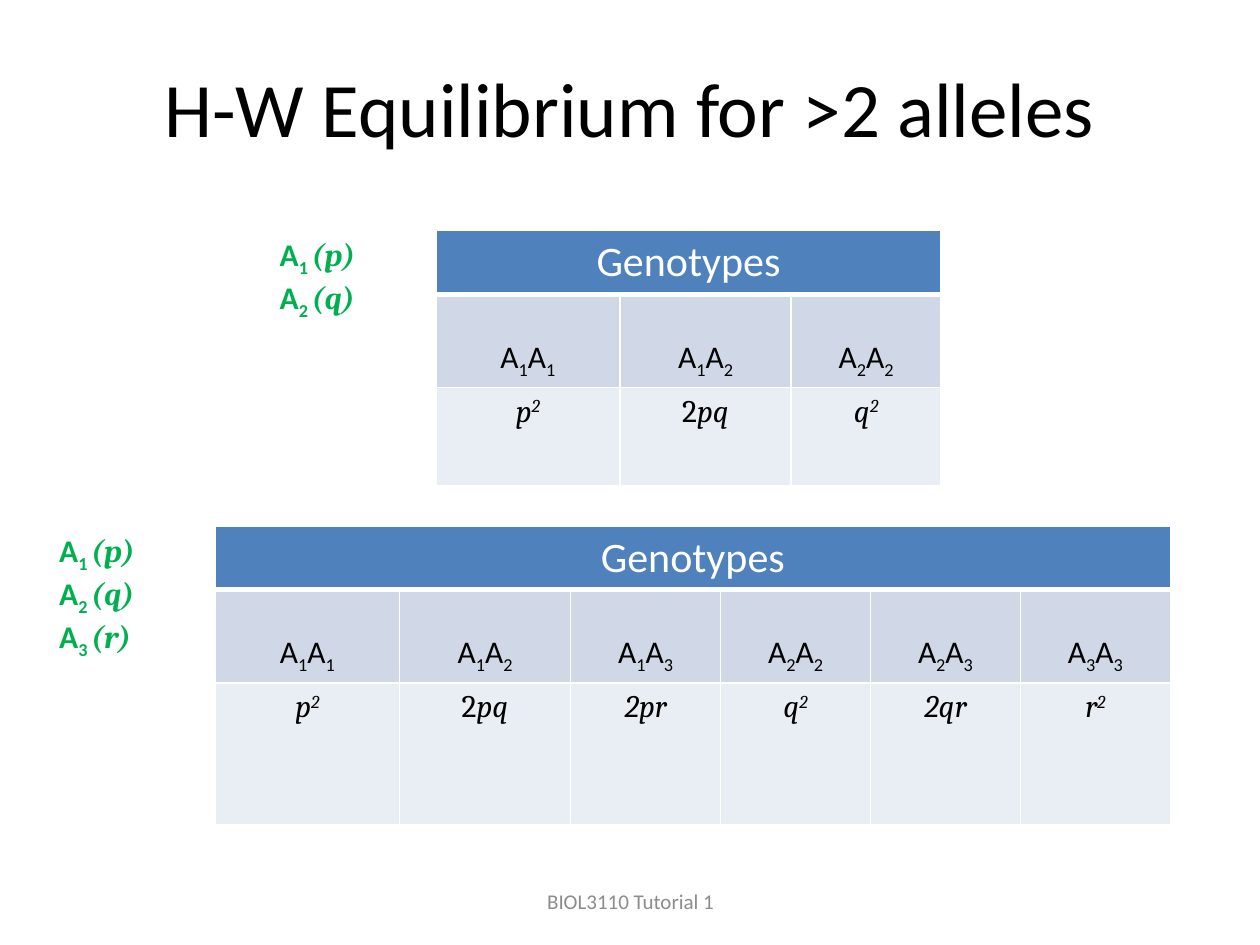
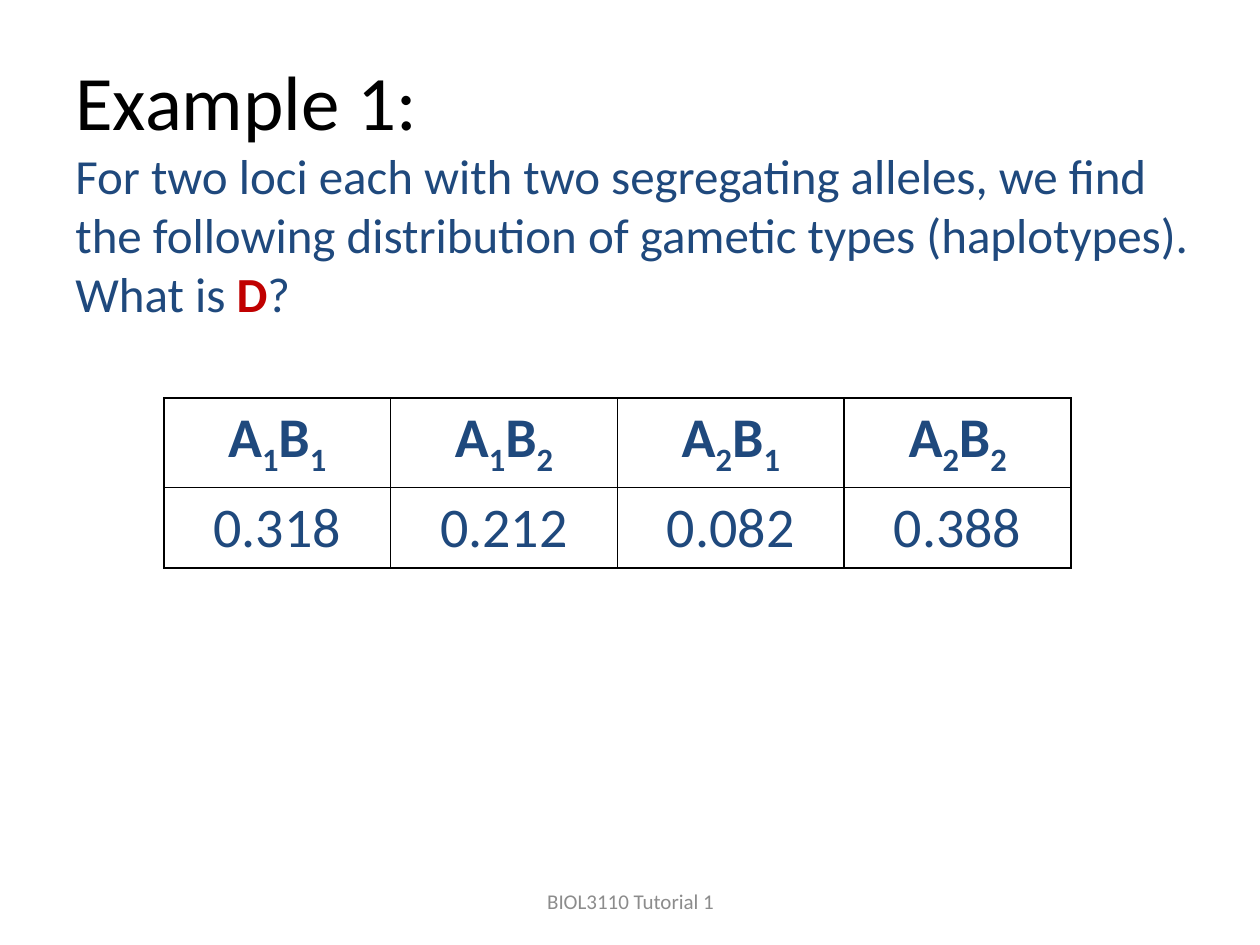
from itertools import combinations_with_replacement, product

from lxml import etree
from pptx import Presentation
from pptx import util as u
from pptx.dml.color import RGBColor
from pptx.enum import text
from pptx.oxml.ns import qn

BLACK = RGBColor(0x00, 0x00, 0x00)
WHITE = RGBColor(0xFF, 0xFF, 0xFF)
GREEN = RGBColor(0x00, 0xB0, 0x50)
BLUE = RGBColor(0x4F, 0x81, 0xBD)
BAND_DARK = RGBColor(0xD0, 0xD8, 0xE8)
BAND_LIGHT = RGBColor(0xE9, 0xED, 0xF4)
NAVY = RGBColor(0x1F, 0x49, 0x7D)
RED = RGBColor(0xC0, 0x00, 0x00)
GREY = RGBColor(0x8C, 0x8C, 0x8C)

CELL = u.Inches(0.1)
CENTER = text.PP_ALIGN.CENTER
LEFT = text.PP_ALIGN.LEFT
SUBSCRIPT, SUPERSCRIPT = -25000, 30000
MATH = {"name": "Cambria", "italic": True}
MARKS = {
    "_": {"baseline": SUBSCRIPT},
    "^": {**MATH, "baseline": SUPERSCRIPT},
    "/": MATH,
    "=": {"name": "Cambria"},
    "*": {"bold": True, "color": RED},
}


def grid(*cells):
    return [round(n * CELL) for n in cells]


def write(p, marked, size, color, bold=False, align=LEFT):
    p.alignment = align
    for piece in marked.split("|"):
        mark = MARKS.get(piece[0], {})
        r = p.add_run()
        r.text = piece[1:] if mark else piece
        r.font.name = mark.get("name", "Calibri")
        r.font.size = u.Pt(size)
        r.font.bold = mark.get("bold", bold)
        r.font.italic = mark.get("italic", False)
        r.font.color.rgb = mark.get("color", color)
        if "baseline" in mark:
            r.font._element.set("baseline", str(mark["baseline"]))


def add_text(s, place, *lines, align=LEFT):
    tf = s.shapes.add_textbox(*grid(*place)).text_frame
    tf.word_wrap = True
    tf.vertical_anchor = text.MSO_ANCHOR.MIDDLE
    for i, (marked, size, color) in enumerate(lines):
        p = tf.add_paragraph() if i else tf.paragraphs[0]
        write(p, marked, size, color, align=align)


def add_footer(s):
    add_text(s, (34.2, 69.5, 31.7, 4), ("BIOL3110 Tutorial 1", 12, GREY), align=CENTER)


def set_borders(cell, color, **widths):
    tc_pr = cell._tc.get_or_add_tcPr()
    for side in "LRTB":
        width = u.Pt(widths.get(side, 1))
        line = etree.SubElement(tc_pr, qn(f"a:ln{side}"), w=str(width))
        fill = etree.SubElement(line, qn("a:solidFill"))
        etree.SubElement(fill, qn("a:srgbClr"), val=str(color))


def style_cell(cell, fill, border, **widths):
    set_borders(cell, border, **widths)
    cell.fill.solid()
    cell.fill.fore_color.rgb = fill


def add_grid_table(s, left, top, columns, rows):
    place = grid(left, top, sum(columns), sum(rows))
    table = s.shapes.add_table(len(rows), len(columns), *place).table
    table.first_row = table.horz_banding = False
    for column, width in zip(table.columns, grid(*columns)):
        column.width = width
    for row, height in zip(table.rows, grid(*rows)):
        row.height = height
    return table


def frequency(a, b):
    if a == b:
        return f"/{a}|^2"
    return "=2|/pq" if a + b == "pq" else f"/2{a}{b}"


def add_genotype_table(s, left, top, alleles, last_row):
    pairs = list(combinations_with_replacement(range(len(alleles)), 2))
    columns = [13.4, 14.6, 13.6] + [11.9] * (len(pairs) - 2)
    table = add_grid_table(s, left, top, columns, [5, 7.4, last_row])

    for c in range(len(columns)):
        style_cell(table.cell(0, c), BLUE if c else WHITE, WHITE, B=3)
        style_cell(table.cell(1, c), BAND_DARK if c else WHITE, WHITE, T=3)
        style_cell(table.cell(2, c), BAND_LIGHT if c else WHITE, WHITE)
    label, header = table.cell(0, 0), table.cell(0, 1)
    label.merge(table.cell(2, 0))
    header.merge(table.cell(0, len(pairs)))

    tf = label.text_frame
    for i, allele in enumerate(alleles):
        p = tf.add_paragraph() if i else tf.paragraphs[0]
        write(p, f"A|_{i + 1} |/({allele})", 18, GREEN, bold=True)
    write(header.text_frame.paragraphs[0], "Genotypes", 24, WHITE, align=CENTER)

    for c, (i, j) in enumerate(pairs, start=1):
        genotype, share = table.cell(1, c), table.cell(2, c)
        genotype.vertical_anchor = text.MSO_ANCHOR.BOTTOM
        write(genotype.text_frame.paragraphs[0], f"A|_{i + 1}|A|_{j + 1}",
              18, BLACK, align=CENTER)
        write(share.text_frame.paragraphs[0], frequency(alleles[i], alleles[j]),
              18, BLACK, align=CENTER)


def add_haplotype_table(s, left, top, shares):
    names = [f"A|_{a}|B|_{b}" for a, b in product((1, 2), repeat=2)]
    table = add_grid_table(s, left, top, [18] * len(names), [7.1, 6.4])
    for row, values in enumerate((names, shares)):
        for c, value in enumerate(values):
            cell = table.cell(row, c)
            style_cell(cell, WHITE, BLACK)
            write(cell.text_frame.paragraphs[0], value, 32, NAVY,
                  bold=row == 0, align=CENTER)


def build_equilibrium(s):
    add_genotype_table(s, 21.2, 18.3, "pq", 7.8)
    add_text(s, (5, 2.2, 90, 12.5),
             ("H-W Equilibrium for >2 alleles", 44, BLACK), align=CENTER)
    add_genotype_table(s, 3.7, 41.8, "pqr", 11.1)


def build_example(s):
    question = ("For two loci each with two segregating alleles, we find the "
                "following distribution of gametic types (haplotypes). "
                "What is |*D|?")
    add_text(s, (5, 2.9, 92.2, 24), ("Example 1:", 44, BLACK), (question, 28, NAVY))
    add_haplotype_table(s, 13, 31.6, ["0.318", "0.212", "0.082", "0.388"])


def main():
    prs = Presentation()
    prs.slide_width, prs.slide_height = grid(100, 75)
    for build in (build_equilibrium, build_example):
        s = prs.slides.add_slide(prs.slide_layouts[6])
        build(s)
        add_footer(s)
    prs.save("out.pptx")


if __name__ == "__main__":
    main()
